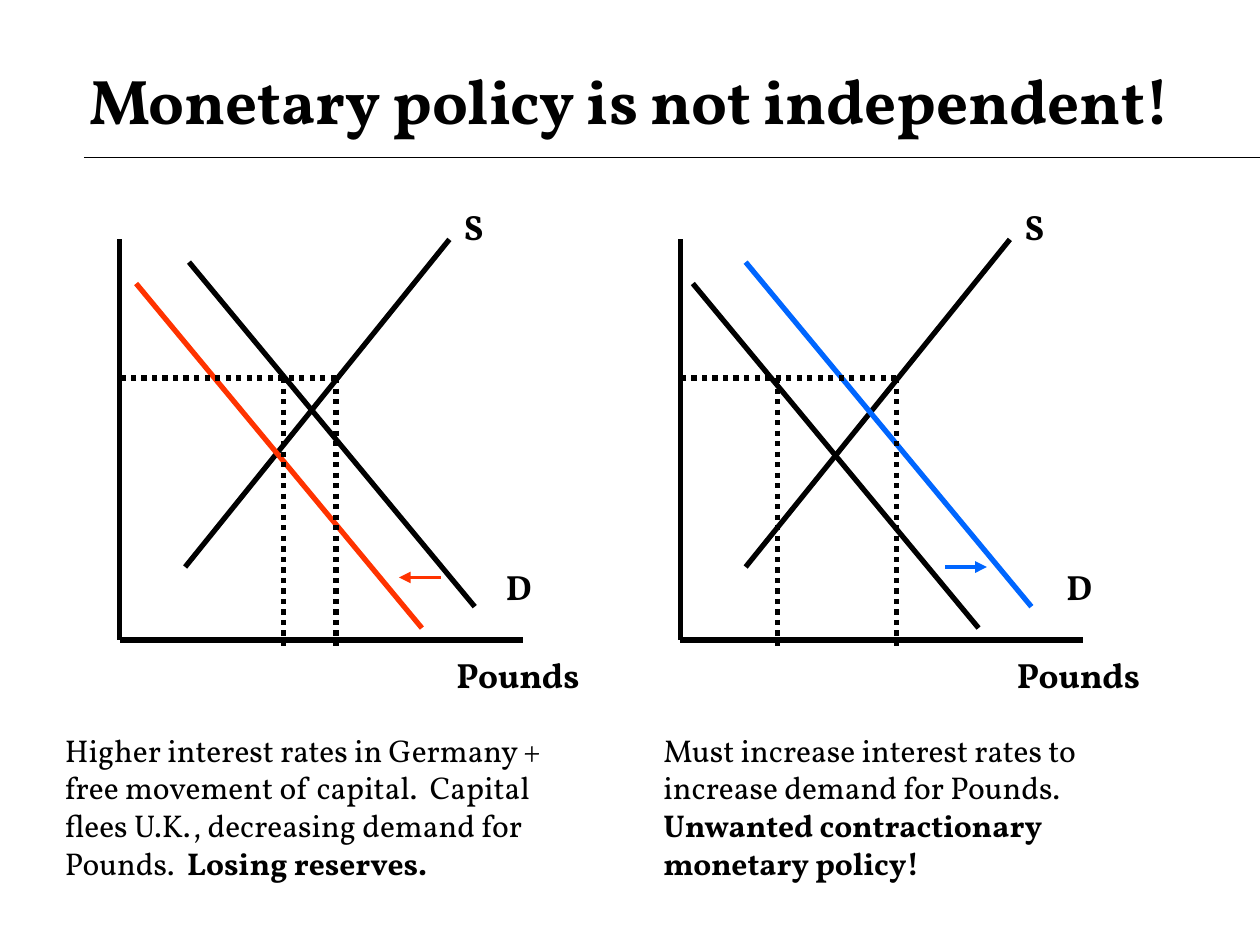
from dataclasses import dataclass

from lxml.etree import SubElement
from pptx import Presentation
from pptx.dml.color import RGBColor as RGB
from pptx.enum.dml import MSO_LINE as Dash
from pptx.enum.shapes import MSO_CONNECTOR as Link
from pptx.enum.text import MSO_ANCHOR as Anchor, PP_ALIGN as Align
from pptx.oxml.ns import qn
from pptx.util import Pt


@dataclass(frozen=True)
class Theme:
    font: str = "Vollkorn"
    ink: RGB = RGB(0, 0, 0)
    red: RGB = RGB(0xFF, 0x33, 0x00)
    blue: RGB = RGB(0x00, 0x66, 0xFF)
    title: float = 36
    label: float = 20
    body: float = 18
    rule: float = 0.75
    curve: float = 3
    arrow: float = 2.25


THEME = Theme()
GAP = 320.3   # from the left graph to the right one
SHIFT = 30.2  # between the two demand curves
PRICE = 216


def line(slide, start, end, color=THEME.ink, width=THEME.curve, dash=None):
    link = slide.shapes.add_connector(Link.STRAIGHT, *map(Pt, (*start, *end)))
    link.line.color.rgb = color
    link.line.width = Pt(width)
    if dash:
        link.line.dash_style = dash
    SubElement(link._element.spPr, qn("a:effectLst"))
    return link


def arrow(slide, start, end, color):
    link = line(slide, start, end, color, THEME.arrow)
    SubElement(link.line._ln, qn("a:tailEnd"), type="triangle")


def text(slide, area, runs, size, align=Align.CENTER, anchor=Anchor.TOP):
    """Add one paragraph; runs holds pairs of wording and bold."""
    frame = slide.shapes.add_textbox(*map(Pt, area)).text_frame
    frame.word_wrap = True
    frame.vertical_anchor = anchor
    para = frame.paragraphs[0]
    para.alignment = align
    for words, bold in runs:
        run = para.add_run()
        run.text = words
        font = run.font
        font.name, font.size, font.bold = THEME.font, Pt(size), bold
        font.color.rgb = THEME.ink


def graph(slide, x, outer, inner, demand, sold):
    """Draw a market at x; demand starts at x + demand, sold is a quantity."""
    base, right = 365.8, x + 123.6
    line(slide, (x, 136.8), (x, base))
    line(slide, (x, base), (x + 230.2, base))
    line(slide, (x + 37.4, 324), (x + 188.4, 136.8))
    for left, top, color in ((demand, 149.8, outer),
                             (demand - SHIFT, 162, inner)):
        line(slide, (x + left, top), (x + left + 163.3, top + 196.9), color)
    line(slide, (right, PRICE), (x - 2.2, PRICE), dash=Dash.ROUND_DOT)
    for spot in (right, x + sold):
        line(slide, (spot, PRICE), (spot, 372.2), dash=Dash.ROUND_DOT)
    for word, left, top, width in (("S", 179.3, 113.8, 46),
                                   ("D", 205, 319.7, 46),
                                   ("Pounds", 183.6, 370, 88)):
        text(slide, (x + left, top, width, 31), [(word, True)], THEME.label)


def note(slide, left, plain, strong):
    text(slide, (left, 414, 312, 93.6), [(plain, False), (strong, True)],
         THEME.body, Align.LEFT)


def main():
    deck = Presentation()
    deck.slide_width, deck.slide_height = Pt(720), Pt(540)
    slide = deck.slides.add_slide(deck.slide_layouts[6])

    for left in (48, 90):
        line(slide, (left, 90), (720, 90), width=THEME.rule)
    text(slide, (36, 24, 648, 66),
         [("Monetary policy is not independent!", True)],
         THEME.title, anchor=Anchor.MIDDLE)

    axis = 68.4
    graph(slide, axis, THEME.ink, THEME.red, demand=39.6, sold=93.6)
    arrow(slide, (252, 330), (228, 330), THEME.red)
    note(slide, 30,
         "Higher interest rates in Germany + free movement of capital.  "
         "Capital flees U.K., decreasing demand for Pounds.  ",
         "Losing reserves.")

    graph(slide, axis + GAP, THEME.blue, THEME.ink, demand=37.4, sold=55.4)
    arrow(slide, (540, 324), (564, 324), THEME.blue)
    note(slide, 372,
         "Must increase interest rates to increase demand for Pounds.  ",
         "Unwanted contractionary monetary policy!")

    deck.save("out.pptx")


if __name__ == "__main__":
    main()
